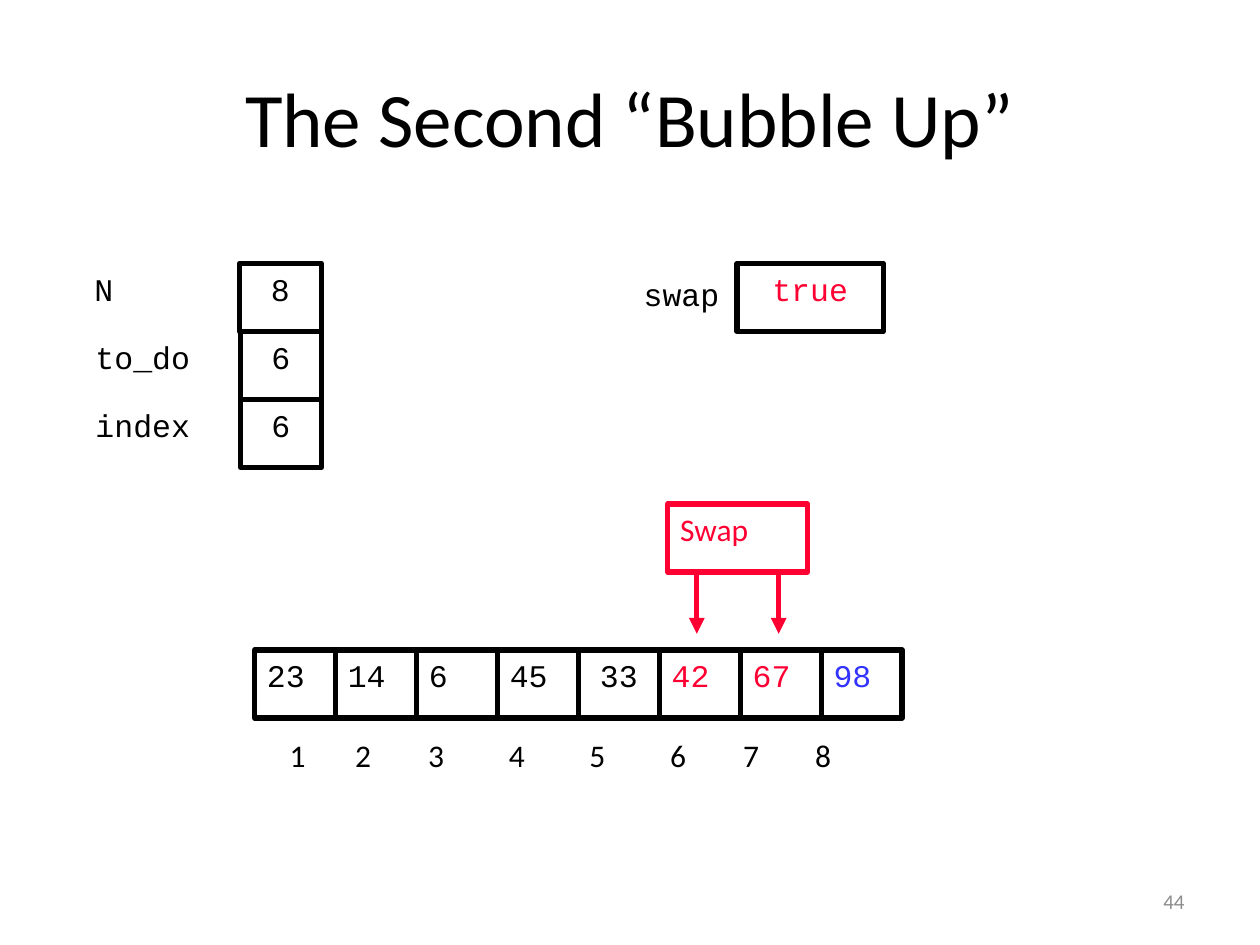
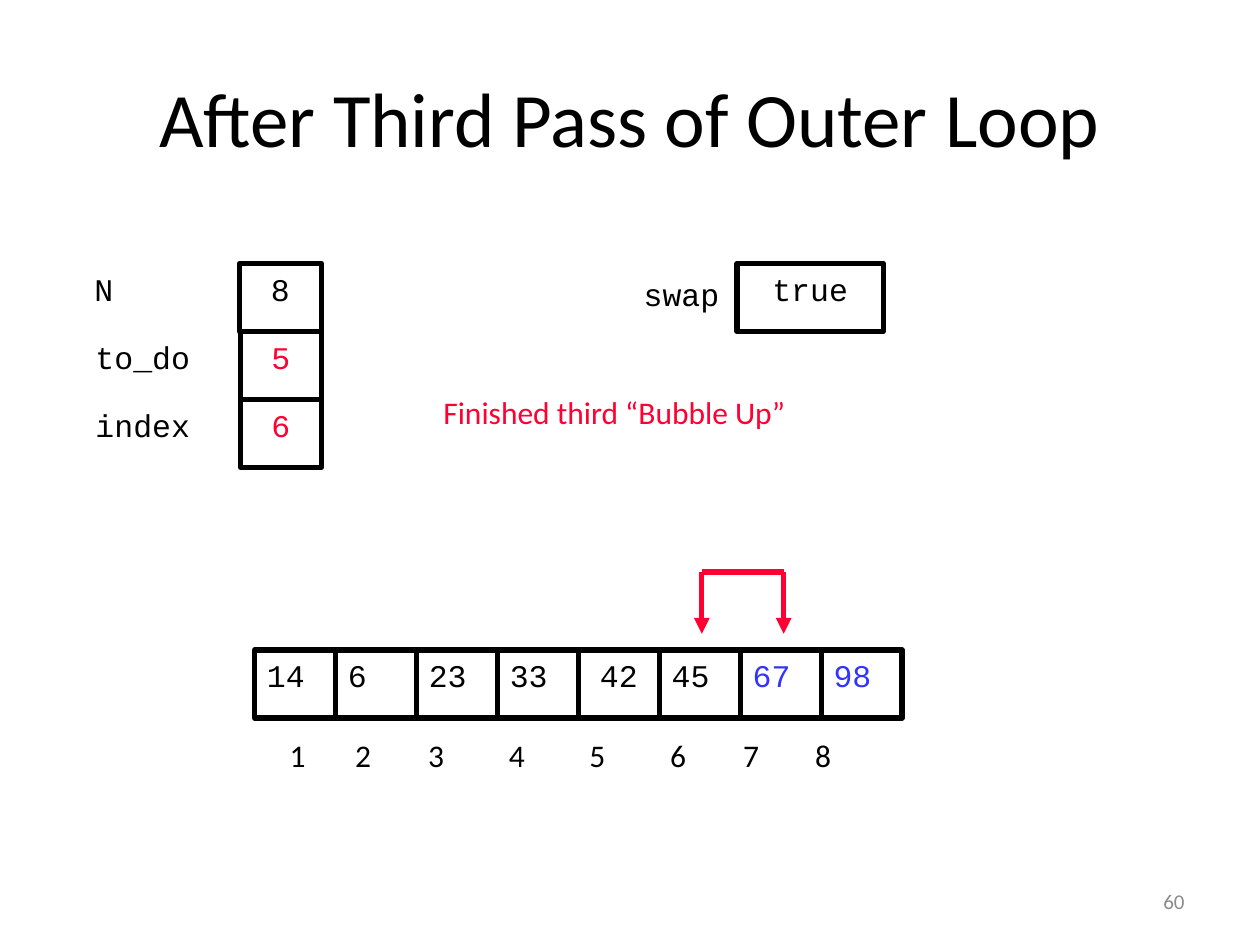
from itertools import accumulate

from lxml.etree import SubElement
from pptx import Presentation
from pptx.dml.color import RGBColor
from pptx.enum.shapes import MSO_CONNECTOR, MSO_SHAPE
from pptx.enum.text import MSO_ANCHOR, PP_ALIGN
from pptx.oxml.ns import qn
from pptx.util import Inches, Pt

COLORS = {"ink": "000000", "change": "FF0033", "sorted": "3333FF", "footer": "8C8C8C"}
SANS, MONO = "Calibri", "Courier New"
CELL_HEIGHT = 0.54
ARRAY_LEFT, ARRAY_TOP, ARRAY_WIDTH = 2.02, 5.16, 5.14
VARIABLES_TOP = 2.09
BRACKET_TOP, BRACKET_BOTTOM, BRACKET_WIDTH = 4.54, 5.03, 0.65
INDEX_GAPS = [0.52, 0.58, 0.64, 0.64, 0.64, 0.58, 0.57]


class BubbleSortDeck:
    def __init__(self):
        self.presentation = Presentation()
        self.presentation.slide_width = Inches(10)
        self.presentation.slide_height = Inches(7.5)
        self.slide = None

    def start_slide(self, title, number):
        self.slide = self.presentation.slides.add_slide(self.presentation.slide_layouts[6])
        self.label(title, 0.5, 0.3, 9, 1.25, SANS, size=44,
                   align=PP_ALIGN.CENTER, anchor=MSO_ANCHOR.MIDDLE)
        self.label(number, 7.17, 6.95, 2.33, 0.4, SANS, "footer", 12,
                   PP_ALIGN.RIGHT, MSO_ANCHOR.MIDDLE)

    def set_text(self, shape, text, font, color="ink", size=18,
                 align=PP_ALIGN.LEFT, anchor=MSO_ANCHOR.TOP, tabs=()):
        frame = shape.text_frame
        frame.word_wrap = True
        frame.vertical_anchor = anchor
        paragraph = frame.paragraphs[0]
        paragraph.text = text
        paragraph.alignment = align
        if tabs:
            tab_list = SubElement(paragraph._p.get_or_add_pPr(), qn("a:tabLst"))
            for position in tabs:
                SubElement(tab_list, qn("a:tab"), pos=str(Inches(position)), algn="l")
        paragraph.font.name = font
        paragraph.font.size = Pt(size)
        paragraph.font.color.rgb = RGBColor.from_string(COLORS[color])

    def label(self, text, left, top, width, height, font=MONO, color="ink",
              size=18, align=PP_ALIGN.LEFT, anchor=MSO_ANCHOR.TOP, tabs=()):
        shape = self.slide.shapes.add_textbox(
            Inches(left), Inches(top), Inches(width), Inches(height))
        self.set_text(shape, text, font, color, size, align, anchor, tabs)

    def outline(self, line, color):
        line.color.rgb = RGBColor.from_string(COLORS[color])
        line.width = Pt(3)

    def box(self, text, left, top, width, color="ink", border="ink",
            font=MONO, align=PP_ALIGN.CENTER):
        shape = self.slide.shapes.add_shape(
            MSO_SHAPE.RECTANGLE, Inches(left), Inches(top), Inches(width), Inches(CELL_HEIGHT))
        shape.shadow.inherit = False
        shape.fill.background()
        self.outline(shape.line, border)
        self.set_text(shape, text, font, color, align=align)

    def array(self, values, colors):
        cell_width = ARRAY_WIDTH / len(values)
        for index, value in enumerate(values):
            align = PP_ALIGN.CENTER if index == 4 else PP_ALIGN.LEFT
            self.box(str(value), ARRAY_LEFT + index * cell_width, ARRAY_TOP, cell_width,
                     colors.get(value, "ink"), align=align)
        numbers = "\t".join(str(index + 1) for index in range(len(values)))
        self.label(numbers, 2.2, 5.79, 4.82, 0.4, SANS, tabs=list(accumulate(INDEX_GAPS)))

    def variables(self, to_do, index, color, swap_color):
        rows = [("N", 8, "ink", 0.65, 1.9, 0.65),
                ("to_do", to_do, color, 0.66, 1.91, 0.64),
                ("index", index, color, 0.66, 1.91, 0.64)]
        for row, (name, value, value_color, name_left, left, width) in enumerate(rows):
            top = VARIABLES_TOP + row * CELL_HEIGHT
            self.label(name, name_left, top, 1.2, 0.5)
            self.box(str(value), left, top, width, value_color)
        self.label("swap", 5.01, 2.13, 1.41, 0.4)
        self.box("true", 5.85, VARIABLES_TOP, 1.16, swap_color)

    def connector(self, shapes, start, end, arrow=False):
        connector = shapes.add_connector(
            MSO_CONNECTOR.STRAIGHT, *(Inches(value) for value in start + end))
        self.outline(connector.line, "change")
        properties = connector.element.spPr
        if arrow:
            SubElement(properties.find(qn("a:ln")), qn("a:headEnd"), type="triangle")
        SubElement(properties, qn("a:effectLst"))

    def swap_bracket(self, left):
        shapes = self.slide.shapes.add_group_shape().shapes
        right = left + BRACKET_WIDTH
        for x in (left, right):
            self.connector(shapes, (x, BRACKET_BOTTOM), (x, BRACKET_TOP), arrow=True)
        self.connector(shapes, (left, BRACKET_TOP), (right, BRACKET_TOP))


def main():
    deck = BubbleSortDeck()

    deck.start_slide("The Second “Bubble Up”", "44")
    deck.array([23, 14, 6, 45, 33, 42, 67, 98],
               {42: "change", 67: "change", 98: "sorted"})
    deck.variables(6, 6, "ink", "change")
    deck.swap_bracket(5.53)
    deck.box("Swap", 5.3, 4, 1.11, "change", "change", SANS, PP_ALIGN.LEFT)

    deck.start_slide("After Third Pass of Outer Loop", "60")
    deck.array([14, 6, 23, 33, 42, 45, 67, 98], {67: "sorted", 98: "sorted"})
    deck.variables(5, 6, "change", "ink")
    deck.swap_bracket(5.57)
    deck.label("Finished third “Bubble Up”", 3.42, 3.07, 4.49, 0.5, SANS, "change")

    deck.presentation.save("out.pptx")


if __name__ == "__main__":
    main()
